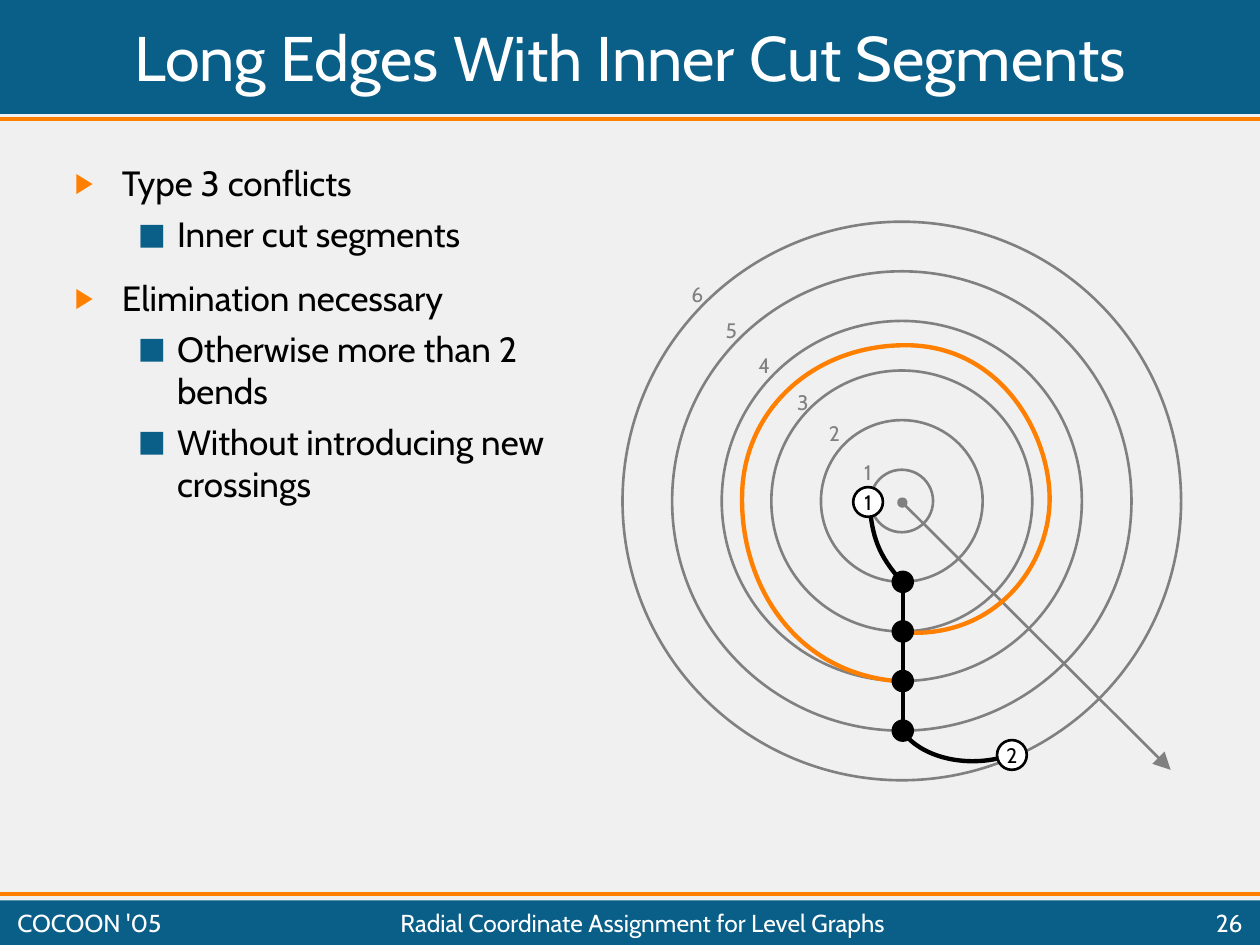
from typing import NamedTuple

import pptx
import pptx.dml.color
import pptx.enum.shapes
import pptx.enum.text
import pptx.oxml.ns
import pptx.util
from lxml import etree
from pptx.dml.color import RGBColor
from pptx.util import Cm

BLUE = RGBColor(0x0A, 0x5F, 0x89)
ORANGE = RGBColor(0xFF, 0x7F, 0x00)
GRAY = RGBColor(0x80, 0x80, 0x80)
BLACK = RGBColor(0x00, 0x00, 0x00)
WHITE = RGBColor(0xFF, 0xFF, 0xFF)
PAPER = RGBColor(0xF0, 0xF0, 0xF0)

FONT = "Cabin"
SHAPE = pptx.enum.shapes.MSO_SHAPE
ALIGN = pptx.enum.text.PP_ALIGN
ANCHOR = pptx.enum.text.MSO_ANCHOR

SLIDE_WIDTH, SLIDE_HEIGHT = 25.4, 19.05
CENTER_X, CENTER_Y = 18.18, 10.1
RING_RADII = [0.63 + level for level in range(6)]
EDGE_X = 18.2
THIN, THICK = 1.5, 2.5

Point = tuple[float, float]


class Box(NamedTuple):
    """Left, top, width and height in centimetres."""
    left: float
    top: float
    width: float
    height: float

    def lengths(self) -> list[Cm]:
        return [Cm(value) for value in self]


class BulletLevel(NamedTuple):
    symbol: str
    color: RGBColor
    percent: int
    margin: float
    hanging: float
    space_before: float


class Bullet(NamedTuple):
    text: str
    level: int


class EndNode(NamedTuple):
    text: str
    x: float
    y: float


class Curve(NamedTuple):
    """A chain of cubic Bezier curves: a start, then three points for each curve."""
    color: RGBColor
    points: list[Point]


LEVELS = [BulletLevel("▶", ORANGE, 80, 0.95, 0.95, 12.5),
          BulletLevel("■", BLUE, 85, 2.06, 0.79, 5)]
BULLETS = [Bullet("Type 3 conflicts", 0),
           Bullet("Inner cut segments", 1),
           Bullet("Elimination necessary", 0),
           Bullet("Otherwise more than 2 bends", 1),
           Bullet("Without introducing new crossings", 1)]
RING_LABELS = [(17.17, 9.14), (16.46, 8.36), (15.82, 7.72),
               (15.04, 6.99), (14.38, 6.27), (13.69, 5.56)]
END_NODES = [EndNode("2", 20.4, 15.22), EndNode("1", 17.5, 10.12)]
CURVES = [
    Curve(BLACK, [(18.19, 11.73), (17.7, 11.2), (17.58, 10.8), (17.53, 10.16)]),
    Curve(BLACK, [(18.21, 14.76), (18.57, 15.27), (19.53, 15.52), (20.4, 15.21)]),
    Curve(ORANGE, [(18.19, 13.74),
                   (16.03, 13.61), (14.94, 11.79), (14.96, 10.03),
                   (14.96, 8.31), (16.36, 6.96), (18.26, 6.96),
                   (20.17, 6.96), (21.16, 8.74), (21.16, 10.06),
                   (21.16, 11.38), (20.09, 12.88), (18.21, 12.75)]),
]
FOOTERS = [("Radial Coordinate Assignment for Level Graphs", 3.81, 18.29, ALIGN.CENTER),
           ("26", 22.3, 3.0, ALIGN.RIGHT),
           ("COCOON '05", 0.1, 3.66, ALIGN.LEFT)]


def add_child(parent, tag: str, **attributes: str):
    return etree.SubElement(parent, pptx.oxml.ns.qn(tag), attributes)


def write(paragraph, text: str, *, size: float, color: RGBColor = BLACK,
          align=ALIGN.LEFT) -> None:
    paragraph.alignment = align
    run = paragraph.add_run()
    run.text = text
    run.font.name = FONT
    run.font.size = pptx.util.Pt(size)
    run.font.color.rgb = color


def add_text(slide, box: Box, text: str, *, wrap: bool = True, anchor=ANCHOR.MIDDLE,
             **text_format) -> None:
    frame = slide.shapes.add_textbox(*box.lengths()).text_frame
    frame.word_wrap = wrap
    frame.vertical_anchor = anchor
    write(frame.paragraphs[0], text, **text_format)


def add_bullets(slide, box: Box) -> None:
    frame = slide.shapes.add_textbox(*box.lengths()).text_frame
    frame.word_wrap = True
    for index, bullet in enumerate(BULLETS):
        level = LEVELS[bullet.level]
        paragraph = frame.add_paragraph() if index else frame.paragraphs[0]
        paragraph.level = bullet.level
        paragraph.space_before = pptx.util.Pt(level.space_before if index else 0)
        properties = paragraph._p.get_or_add_pPr()
        properties.set("marL", str(Cm(level.margin)))
        properties.set("indent", str(-Cm(level.hanging)))
        add_child(add_child(properties, "a:buClr"), "a:srgbClr", val=str(level.color))
        add_child(properties, "a:buSzPct", val=str(level.percent * 1000))
        add_child(properties, "a:buFont", typeface=FONT)
        add_child(properties, "a:buChar", char=level.symbol)
        write(paragraph, bullet.text, size=20)


def style(shape, fill: RGBColor | None, line: RGBColor | None, width: float = THIN) -> None:
    shape.shadow.inherit = False
    if fill is None:
        shape.fill.background()
    else:
        shape.fill.solid()
        shape.fill.fore_color.rgb = fill
    if line is None:
        shape.line.fill.background()
    else:
        shape.line.color.rgb = line
        shape.line.width = pptx.util.Pt(width)


def add_bar(slide, top: float, height: float) -> None:
    box = Box(0, top, SLIDE_WIDTH, height)
    style(slide.shapes.add_shape(SHAPE.RECTANGLE, *box.lengths()), BLUE, None)


def add_circle(slide, x: float, y: float, radius: float, *, fill: RGBColor | None = None,
               line: RGBColor = BLACK):
    box = Box(x - radius, y - radius, 2 * radius, 2 * radius)
    circle = slide.shapes.add_shape(SHAPE.OVAL, *box.lengths())
    style(circle, fill, line)
    return circle


def add_line(slide, start: Point, end: Point, color: RGBColor, width: float):
    connector = slide.shapes.add_connector(
        pptx.enum.shapes.MSO_CONNECTOR.STRAIGHT, *(Cm(value) for value in start + end))
    connector.line.color.rgb = color
    connector.line.width = pptx.util.Pt(width)
    add_child(connector._element.spPr, "a:effectLst")
    return connector


def add_curve(slide, curve: Curve) -> None:
    """Draw the control polygon, then turn every three segments into one Bezier curve."""
    start, *others = [(Cm(x), Cm(y)) for x, y in curve.points]
    builder = slide.shapes.build_freeform(*start)
    builder.add_line_segments(others, close=False)
    shape = builder.convert_to_shape()
    segments = list(shape._element.iter(pptx.oxml.ns.qn("a:lnTo")))
    for first in range(0, len(segments), 3):
        bezier = add_child(segments[first].getparent(), "a:cubicBezTo")
        for segment in segments[first:first + 3]:
            bezier.append(segment[0])
            segment.getparent().remove(segment)
    style(shape, None, curve.color, THICK)


def add_drawing(slide) -> None:
    for radius in RING_RADII:
        add_circle(slide, CENTER_X, CENTER_Y, radius, line=GRAY)
    for number, (left, top) in enumerate(RING_LABELS, start=1):
        add_text(slide, Box(left, top, 0.74, 0.76), str(number), wrap=False,
                 anchor=ANCHOR.TOP, size=12, color=GRAY)

    ray = add_line(slide, (18.19, 10.13), (23.6, 15.52), GRAY, THIN)
    outline = ray.line._get_or_add_ln()
    add_child(outline, "a:headEnd", type="oval")
    add_child(outline, "a:tailEnd", type="triangle", w="lg", len="lg")

    bends = [(EDGE_X, CENTER_Y + radius) for radius in RING_RADII[1:5]]
    for start, end in zip(bends, bends[1:]):
        add_line(slide, start, end, BLACK, THICK)
    for curve in CURVES:
        add_curve(slide, curve)
    for node in END_NODES:
        circle = add_circle(slide, node.x, node.y, 0.3, fill=WHITE)
        circle.text_frame.word_wrap = False
        circle.text_frame.vertical_anchor = ANCHOR.MIDDLE
        write(circle.text_frame.paragraphs[0], node.text, size=12, align=ALIGN.CENTER)
    for x, y in bends:
        add_circle(slide, x, y, 0.2, fill=BLACK)


def main() -> None:
    presentation = pptx.Presentation()
    presentation.slide_width = Cm(SLIDE_WIDTH)
    presentation.slide_height = Cm(SLIDE_HEIGHT)
    slide = presentation.slides.add_slide(presentation.slide_layouts[6])
    slide.background.fill.solid()
    slide.background.fill.fore_color.rgb = PAPER

    add_bar(slide, 0, 2.3)
    add_bar(slide, 18.15, 0.9)
    for y in (2.4, 18.02):
        add_line(slide, (0, y), (SLIDE_WIDTH, y), ORANGE, 2.25)
    add_text(slide, Box(0.1, 0.08, 25.2, 2.11), "Long Edges With Inner Cut Segments",
             size=36, color=WHITE, align=ALIGN.CENTER)
    add_bullets(slide, Box(1.26, 3.14, 11.23, 14.4))
    add_drawing(slide)
    for text, left, width, align in FOOTERS:
        add_text(slide, Box(left, 18.24, width, 0.71), text, size=14, color=WHITE, align=align)
    presentation.save("out.pptx")


if __name__ == "__main__":
    main()
